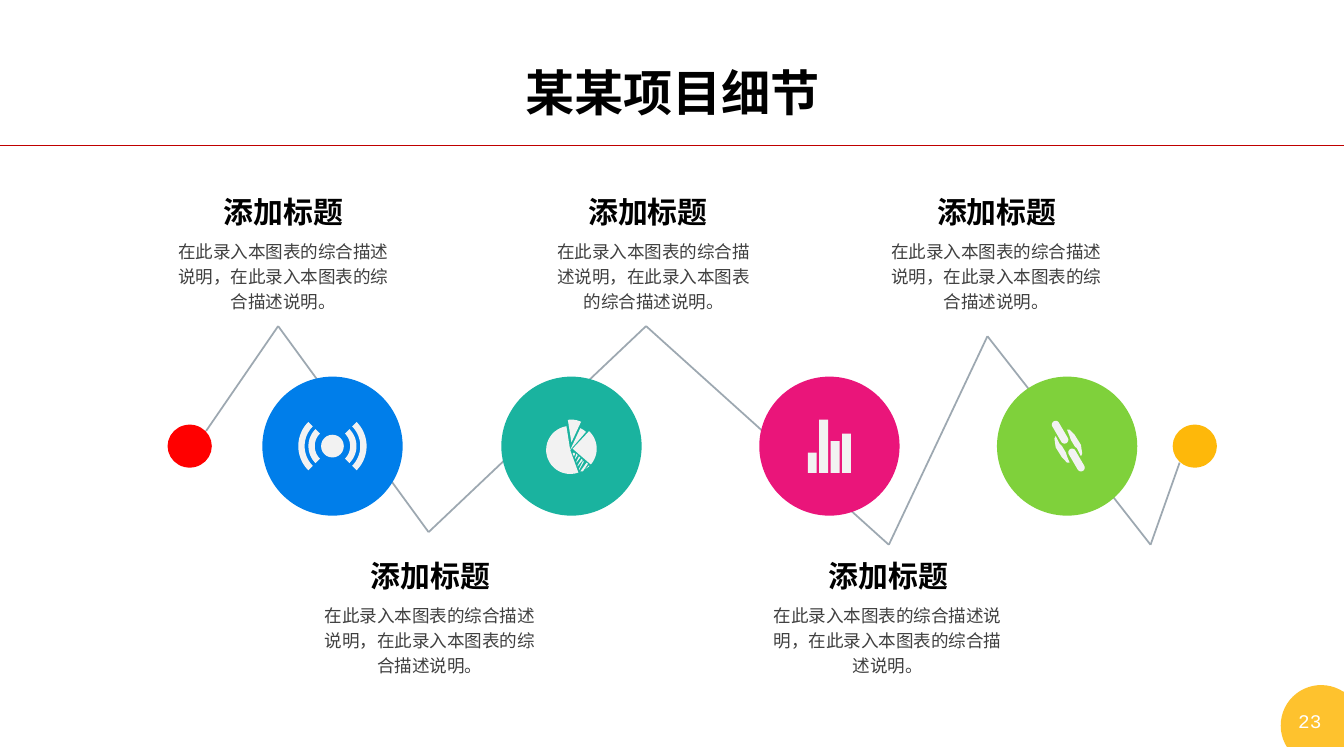
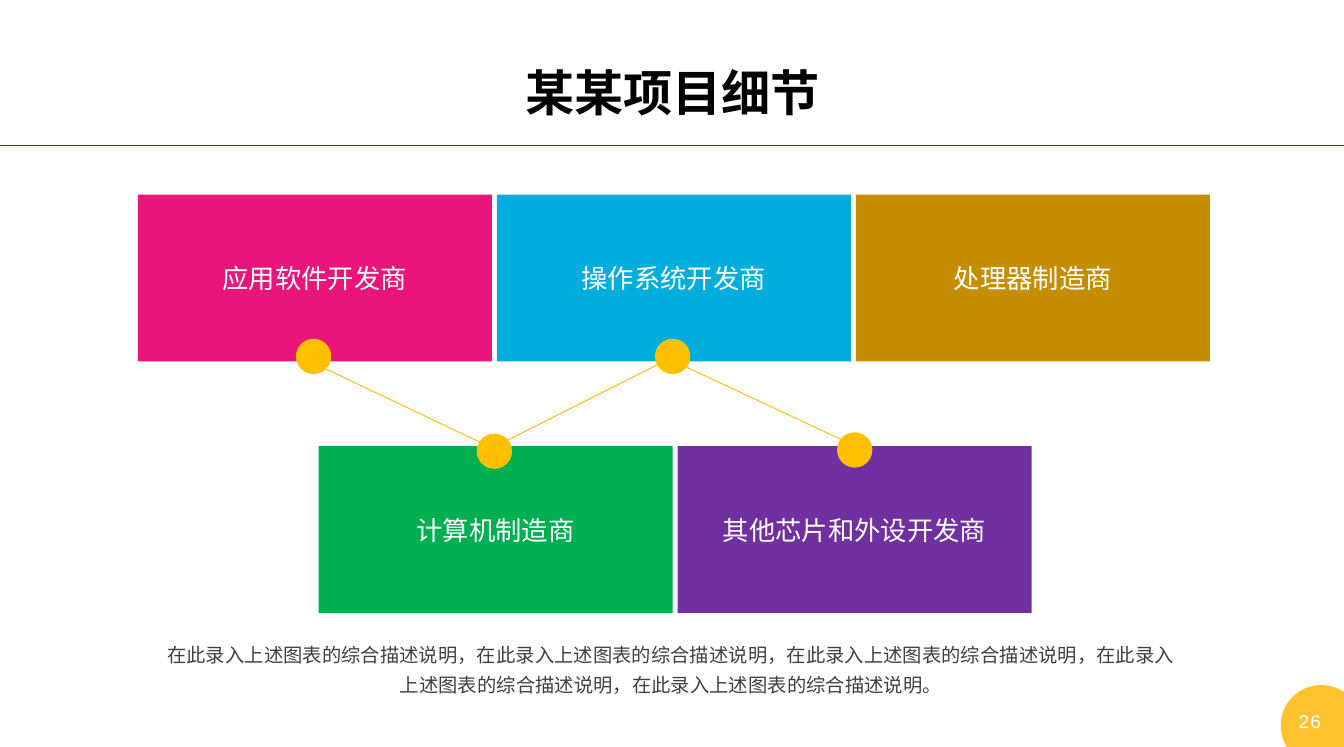
"""Build two project detail slides: a zigzag path and a block diagram."""
from itertools import pairwise
from math import atan2, cos, degrees, radians, sin

from lxml.etree import SubElement as Sub
from pptx import Presentation as Deck
from pptx.dml.color import RGBColor as Rgb
from pptx.enum.shapes import MSO_CONNECTOR as Conn, MSO_SHAPE as Kind
from pptx.enum.text import MSO_ANCHOR as Anchor, MSO_AUTO_SIZE as Fit, PP_ALIGN as Align
from pptx.oxml.ns import qn
from pptx.util import Inches as In, Pt

WIDE, HIGH = 10.63, 5.91
CJK = "Noto Sans CJK SC"
THEME = {
    "red": "FF0000", "gold": "FEB80A", "amber": "FFC000", "rule": "C00000",
    "blue": "007EEA", "teal": "1AB39F", "pink": "EA157A", "lime": "7FD13B",
    "sky": "00ADDC", "ochre": "C58D01", "green": "00B050", "plum": "7030A0",
    "grey": "9DA8B1", "pale": "F2F2F2", "white": "FFFFFF",
    "black": "000000", "ink": "404040",
}
STYLE = {
    "title": {"font": {"size": Pt(28), "bold": True, "name": CJK}, "ink": "black",
              "pad": (0.11, 0.05), "wrap": False, "gap": 1.0},
    "head": {"font": {"size": Pt(17), "bold": True, "name": CJK}, "ink": "black",
             "pad": (0.08, 0.04), "wrap": False, "gap": 1.0},
    "body": {"font": {"size": Pt(10), "name": CJK}, "ink": "ink",
             "pad": (0.08, 0.04), "wrap": True, "gap": 1.2},
    "note": {"font": {"size": Pt(11), "name": CJK}, "ink": "ink",
             "pad": (0.08, 0.04), "wrap": True, "gap": 1.3},
    "block": {"font": {"size": Pt(15), "name": "Calibri"}, "ink": "white",
              "pad": (0.1, 0.05), "wrap": True, "gap": 1.0},
    "page": {"font": {"size": Pt(11), "name": "Courier New"}, "ink": "white",
             "pad": (0.06, 0.03), "wrap": True, "gap": 1.0},
}

TITLE = "某某项目细节"
HEAD = "添加标题"
BODY = "在此录入本图表的综合描述说明，" + "在此录入本图表的综合描述说明。"
NOTE = "在此录入上述图表的综合描述说明，" * 4 + "在此录入上述图表的综合描述说明。"
CAPS = [(2.24, 2.24, 1.85, 1.49), (5.12, 5.17, 1.76, 1.49), (7.88, 7.88, 1.88, 1.49),
        (3.4, 3.4, 1.85, 4.37), (7.02, 7.02, 2.01, 4.37)]
PATH = [(1.63, 3.41), (2.2, 2.58), (3.39, 4.21), (5.11, 2.58),
        (7.03, 4.31), (7.81, 2.66), (9.1, 4.31), (9.33, 3.66)]
ENDS = [(1.5, "red"), (9.45, "gold")]
ROWS = [
    (1.09, 1.54, [("应用软件开发商", "pink"), ("操作系统开发商", "sky"), ("处理器制造商", "ochre")]),
    (2.52, 3.53, [("计算机制造商", "green"), ("其他芯片和外设开发商", "plum")]),
]
DOTS = [(2.48, 2.82), (5.32, 2.82), (3.91, 3.57), (6.76, 3.56)]
LINKS = [((2.58, 2.92), (3.82, 3.51)), ((5.42, 2.9), (6.66, 3.48)),
         ((3.86, 3.56), (5.29, 2.84))]


def arc(x, y, r, start, stop):
    """Return points along an arc, angles in degrees."""
    n = 24
    turns = [radians(start + (stop - start) * i / n) for i in range(n + 1)]
    return [(x + r * cos(t), y + r * sin(t)) for t in turns]


def wedge(x, y, r, start, stop):
    """Return a pie slice."""
    return [(x, y)] + arc(x, y, r, start, stop)


def ring(r, width, mid):
    """Return a quarter ring about the origin."""
    return arc(0, 0, r, mid - 45, mid + 45) + arc(0, 0, r - width, mid + 45, mid - 45)


def pill(a, b, r):
    """Return a bar with round ends."""
    t = degrees(atan2(b[1] - a[1], b[0] - a[0]))
    return arc(*a, r, t + 90, t + 270) + arc(*b, r, t - 90, t + 90)


def bar(i, tall):
    """Return one column of the bar icon."""
    x, base, w = -0.17 + 0.09 * i, 0.21, 0.07
    return [(x, base), (x, base - tall), (x + w, base - tall), (x + w, base)]


HATCH = [
    [(0.14, 0.16), (0.11, 0.18), (0.14, 0.15)],
    [(0.09, 0.2), (0.13, 0.14), (0.12, 0.13), (0.07, 0.2)],
    [(0.06, 0.19), (0.1, 0.12), (0.09, 0.12), (0.06, 0.18)],
    [(0.05, 0.16), (0.09, 0.11), (0.08, 0.1), (0.05, 0.15)],
    [(0.04, 0.13), (0.07, 0.09), (0.06, 0.08), (0.04, 0.12)],
    [(0.03, 0.1), (0.05, 0.07), (0.04, 0.06), (0.03, 0.09)],
    [(0.02, 0.08), (0.03, 0.06), (0.02, 0.05), (0.01, 0.06)],
]
CHAIN = [(0, -0.13), (0.02, -0.13), (0.06, -0.09), (0.11, -0.01), (0.12, 0.06),
         (0.11, 0.08), (0.08, 0.02), (0.06, 0), (0.03, -0.05), (0.02, -0.08)]
ICONS = [
    (2.63, "blue", [arc(0, 0, 0.09, 0, 360)]
     + [ring(r, 0.05, m) for r in (0.19, 0.27) for m in (0, 180)]),
    (4.52, "teal", [wedge(-0.01, 0.03, 0.19, 70, 261), wedge(-0.01, 0.03, 0.19, -65, -49),
                    wedge(0.01, 0.02, 0.19, -47, 41), wedge(0, -0.03, 0.18, -99, -65)] + HATCH),
    (6.56, "pink", [bar(i, h) for i, h in enumerate((0.16, 0.42, 0.25, 0.31))]),
    (8.44, "lime", [pill((-0.09, -0.17), (-0.02, -0.05), 0.03),
                    pill((0.04, 0.05), (0.11, 0.17), 0.03),
                    CHAIN, [(0.02 - x, -y) for x, y in CHAIN]]),
]


def tint(fill, name):
    """Give a fill a theme colour."""
    fill.solid()
    fill.fore_color.rgb = Rgb.from_string(THEME[name])


def write(shape, text, key):
    """Put styled text in a shape."""
    style, frame = STYLE[key], shape.text_frame
    x, y = map(In, style["pad"])
    form = {"margin_left": x, "margin_right": x, "margin_top": y, "margin_bottom": y,
            "word_wrap": style["wrap"], "auto_size": Fit.NONE,
            "vertical_anchor": Anchor.MIDDLE if key == "block" else Anchor.TOP}
    para = frame.paragraphs[0]
    run = para.add_run()
    run.text = text
    for item, values in ((frame, form), (run.font, style["font"]),
                         (para, {"alignment": Align.CENTER, "line_spacing": style["gap"]})):
        for name, value in values.items():
            setattr(item, name, value)
    tint(run.font.fill, style["ink"])
    Sub(run.font._element, qn("a:ea"), typeface=CJK)


def label(slide, box, text, key):
    """Add a text box."""
    write(slide.shapes.add_textbox(*map(In, box)), text, key)


def plain(shape, color):
    """Fill a shape and drop its outline and shadow."""
    shape.shadow.inherit = False
    shape.line.fill.background()
    tint(shape.fill, color)
    return shape


def form(slide, kind, box, color):
    """Add a preset shape."""
    return plain(slide.shapes.add_shape(kind, *map(In, box)), color)


def disc(slide, x, y, w, h, color):
    """Add an ellipse about its centre."""
    form(slide, Kind.OVAL, (x - w / 2, y - h / 2, w, h), color)


def outline(slide, x, y, loops, color):
    """Add closed outlines as one freeform."""
    loops = [[(In(x + a), In(y + b)) for a, b in loop] for loop in loops]
    pen = slide.shapes.build_freeform(*loops[0][0])
    for i, loop in enumerate(loops):
        if i:
            pen.move_to(*loop[0])
        pen.add_line_segments(loop[1:], close=True)
    return plain(pen.convert_to_shape(), color)


def line(slide, a, b, color, width):
    """Add a straight line."""
    link = slide.shapes.add_connector(Conn.STRAIGHT, *map(In, (*a, *b)))
    tint(link.line.fill, color)
    link.line.width = Pt(width)
    Sub(link._element.spPr, qn("a:effectLst"))


def start(deck, page):
    """Add a slide with its title, rule and page badge."""
    slide = deck.slides.add_slide(deck.slide_layouts[6])
    edge = arc(10.45, 5.74, 0.32, 147, 304) + [(WIDE, 5.47), (WIDE, HIGH)]
    badge = outline(slide, 0, 0, [edge], "gold")
    Sub(badge.fill._xPr.find(".//" + qn("a:srgbClr")), qn("a:alpha"), val="85000")
    label(slide, (10.16, 5.58, 0.4, 0.25), page, "page")
    label(slide, (WIDE / 2 - 1.28, 0.44, 2.57, 0.58), TITLE, "title")
    line(slide, (0, 1.15), (WIDE, 1.15), "rule", 0.75)
    return slide


def zigzag(deck):
    """Build the path slide."""
    slide = start(deck, "23")
    for a, b in pairwise(PATH):
        line(slide, a, b, "grey", 1)
    for x, color in ENDS:
        disc(slide, x, 3.53, 0.35, 0.34, color)
    for x, color, loops in ICONS:
        disc(slide, x, 3.53, 1.11, 1.1, color)
        outline(slide, x, 3.53, loops, "pale")
    for head, body, wide, top in CAPS:
        label(slide, (head - 0.57, top, 1.15, 0.37), HEAD, "head")
        label(slide, (body - wide / 2, top + 0.34, wide, 0.69), BODY, "body")


def blocks(deck):
    """Build the block slide."""
    slide = start(deck, "26")
    label(slide, (1.18, 4.99, 8.26, 0.56), NOTE, "note")
    for left, top, row in ROWS:
        for i, (text, color) in enumerate(row):
            box = (left + 2.84 * i, top, 2.8, 1.32)
            write(form(slide, Kind.RECTANGLE, box, color), text, "block")
    for x, y in DOTS:
        disc(slide, x, y, 0.28, 0.28, "amber")
    for a, b in LINKS:
        line(slide, a, b, "gold", 0.5)


def main():
    """Save the deck."""
    deck = Deck()
    deck.slide_width, deck.slide_height = In(WIDE), In(HIGH)
    zigzag(deck)
    blocks(deck)
    deck.save("out.pptx")


if __name__ == "__main__":
    main()
